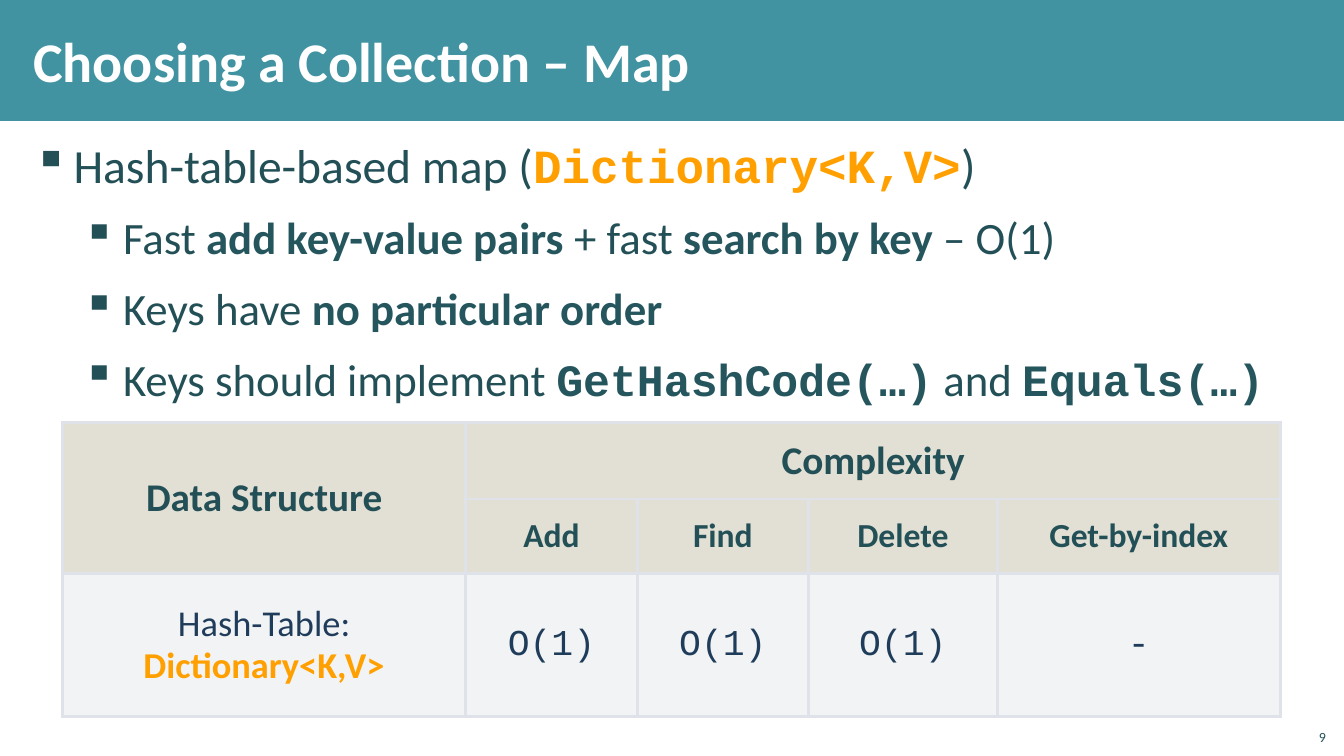
from lxml import etree
from pptx import Presentation
from pptx.dml.color import RGBColor
from pptx.enum.shapes import MSO_SHAPE
from pptx.enum.text import MSO_ANCHOR, PP_ALIGN
from pptx.oxml.ns import qn
from pptx.util import Inches, Pt

RECTANGLE = MSO_SHAPE.RECTANGLE
TOP, MIDDLE, BOTTOM = MSO_ANCHOR.TOP, MSO_ANCHOR.MIDDLE, MSO_ANCHOR.BOTTOM
LEFT, CENTER, RIGHT = PP_ALIGN.LEFT, PP_ALIGN.CENTER, PP_ALIGN.RIGHT

SANS, MONO = "Calibri", "Courier New"
TEAL, TEXT, STRONG = "4193A1", "235057", "25565E"
ORANGE, NAVY, WHITE = "FFA000", "1F3D5A", "FFFFFF"
BORDER = "DFE2E8"
HEADER_FILL, BODY_FILL = ("C6C0AA", 50), ("C1C6D1", 20)

BOLD = {"bold": True, "color": STRONG}
CODE = {"bold": True, "color": STRONG, "font": MONO}
BULLETS = [
    (0, [("Hash-table-based map (", {}),
         ("Dictionary<K,V>", {"bold": True, "color": ORANGE, "font": MONO}),
         (")", {})]),
    (1, [("Fast ", {}), ("add key-value pairs ", BOLD), ("+ fast ", {}),
         ("search by key ", BOLD), ("– O(1)", {})]),
    (1, [("Keys have ", {}), ("no particular order", BOLD)]),
    (1, [("Keys should implement ", {}), ("GetHashCode(…)", CODE),
         (" and ", {}), ("Equals(…)", CODE)]),
]
COLUMN_WIDTHS = [4, 1.7, 1.7, 1.87, 2.81]
ROW_HEIGHTS = [0.76, 0.74, 1.42]
OPERATIONS = ["Add", "Find", "Delete", "Get-by-index"]
COSTS = ["O(1)", "O(1)", "O(1)", "-"]


def rgb(value):
    """Turn a hex string into a colour."""
    return RGBColor.from_string(value)


def add_span(para, text, size=28, color=TEXT, bold=False, font=SANS):
    """Add formatted text to a paragraph."""
    span = para.add_run()
    span.text = text
    span.font.size = Pt(size)
    span.font.bold = bold
    span.font.name = font
    span.font.color.rgb = rgb(color)


def add_box(page, left, top, width, height, anchor=TOP, inset=(0.12, 0.04)):
    """Add a wrapping text box and return its text frame."""
    box = page.shapes.add_textbox(Inches(left), Inches(top), Inches(width), Inches(height))
    frame = box.text_frame
    frame.word_wrap = True
    frame.vertical_anchor = anchor
    frame.margin_left = frame.margin_right = Inches(inset[0])
    frame.margin_top = frame.margin_bottom = Inches(inset[1])
    return frame


def add_line(page, text, place, anchor, align=LEFT, inset=(0.12, 0.04), **style):
    """Add a text box that holds one line."""
    para = add_box(page, *place, anchor=anchor, inset=inset).paragraphs[0]
    para.alignment = align
    add_span(para, text, **style)


def add_banner(page):
    """Add the coloured band behind the title."""
    band = page.shapes.add_shape(RECTANGLE, 0, 0, Inches(13.33), Inches(1.2))
    band.shadow.inherit = False
    band.fill.solid()
    band.fill.fore_color.rgb = rgb(TEAL)
    band.line.fill.background()


def set_bullet(para, level):
    """Give a paragraph a hanging square bullet."""
    props = para._p.get_or_add_pPr()
    props.set("marL", str(Inches((0.4, 0.89)[level])))
    props.set("indent", str(Inches(-0.4)))
    etree.SubElement(props, qn("a:buChar"), char="▪")
    para.level = level


def add_bullets(page):
    """Add the two-level bullet list."""
    frame = add_box(page, 0.21, 1.31, 12.92, 6.08)
    for index, (level, spans) in enumerate(BULLETS):
        para = frame.add_paragraph() if index else frame.paragraphs[0]
        set_bullet(para, level)
        para.space_before = Pt(6 if index else 0)
        para.space_after = Pt(6)
        for text, style in spans:
            add_span(para, text, size=(34, 32)[level], **style)


def style_cell(cell, fill):
    """Set the borders and the translucent fill of a cell."""
    props = cell._tc.get_or_add_tcPr()
    for side in ("lnL", "lnR", "lnT", "lnB"):
        line = etree.SubElement(props, qn(f"a:{side}"), w=str(Pt(2.25)))
        solid = etree.SubElement(line, qn("a:solidFill"))
        etree.SubElement(solid, qn("a:srgbClr"), val=BORDER)
    color, opacity = fill
    cell.fill.solid()
    cell.fill.fore_color.rgb = rgb(color)
    tint = props.find(qn("a:solidFill")).find(qn("a:srgbClr"))
    etree.SubElement(tint, qn("a:alpha"), val=str(opacity * 1000))


def fill_cell(cell, *spans):
    """Write centred text into a cell."""
    cell.vertical_anchor = MIDDLE
    para = cell.text_frame.paragraphs[0]
    para.alignment = CENTER
    para.line_spacing = 0.95
    for text, style in spans:
        add_span(para, text, **style)


def add_complexity_table(page):
    """Add the table of operation costs."""
    table = page.shapes.add_table(
        len(ROW_HEIGHTS), len(COLUMN_WIDTHS), Inches(0.62), Inches(4.19),
        Inches(sum(COLUMN_WIDTHS)), Inches(sum(ROW_HEIGHTS))).table
    for column, width in zip(table.columns, COLUMN_WIDTHS):
        column.width = Inches(width)
    for index, (row, height) in enumerate(zip(table.rows, ROW_HEIGHTS)):
        row.height = Inches(height)
        for cell in row.cells:
            style_cell(cell, HEADER_FILL if index < 2 else BODY_FILL)
    table.cell(0, 0).merge(table.cell(1, 0))
    table.cell(0, 1).merge(table.cell(0, 4))
    fill_cell(table.cell(0, 0), ("Data Structure", {"bold": True}))
    fill_cell(table.cell(0, 1), ("Complexity", {"bold": True}))
    fill_cell(table.cell(2, 0), ("Hash-Table: ", {"size": 26, "color": NAVY}),
              ("Dictionary<K,V>", {"size": 26, "color": ORANGE, "bold": True}))
    for column, (operation, cost) in enumerate(zip(OPERATIONS, COSTS), start=1):
        fill_cell(table.cell(1, column), (operation, {"size": 24, "bold": True}))
        fill_cell(table.cell(2, column), (cost, {"size": 26, "color": NAVY, "font": MONO}))


def main():
    """Build the slide and save it."""
    deck = Presentation()
    deck.slide_width, deck.slide_height = Inches(13.33), Inches(7.5)
    page = deck.slides.add_slide(deck.slide_layouts[6])
    add_banner(page)
    add_bullets(page)
    add_line(page, "Choosing a Collection – Map", (0.21, 0.11, 10.71, 0.97), MIDDLE,
             size=40, color=WHITE, bold=True)
    add_line(page, "9", (12.85, 7.12, 0.4, 0.32), BOTTOM, align=RIGHT,
             inset=(0.1, 0.05), size=10)
    add_complexity_table(page)
    deck.save("out.pptx")


if __name__ == "__main__":
    main()
